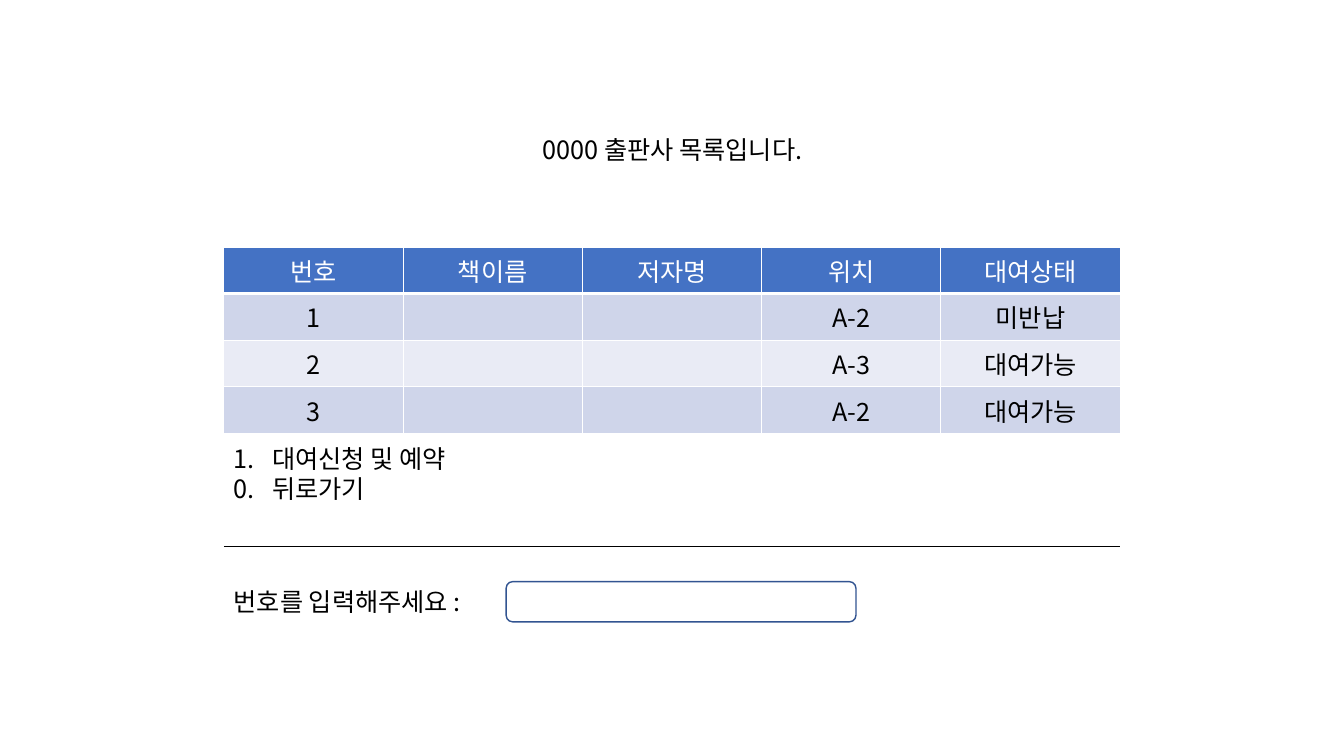
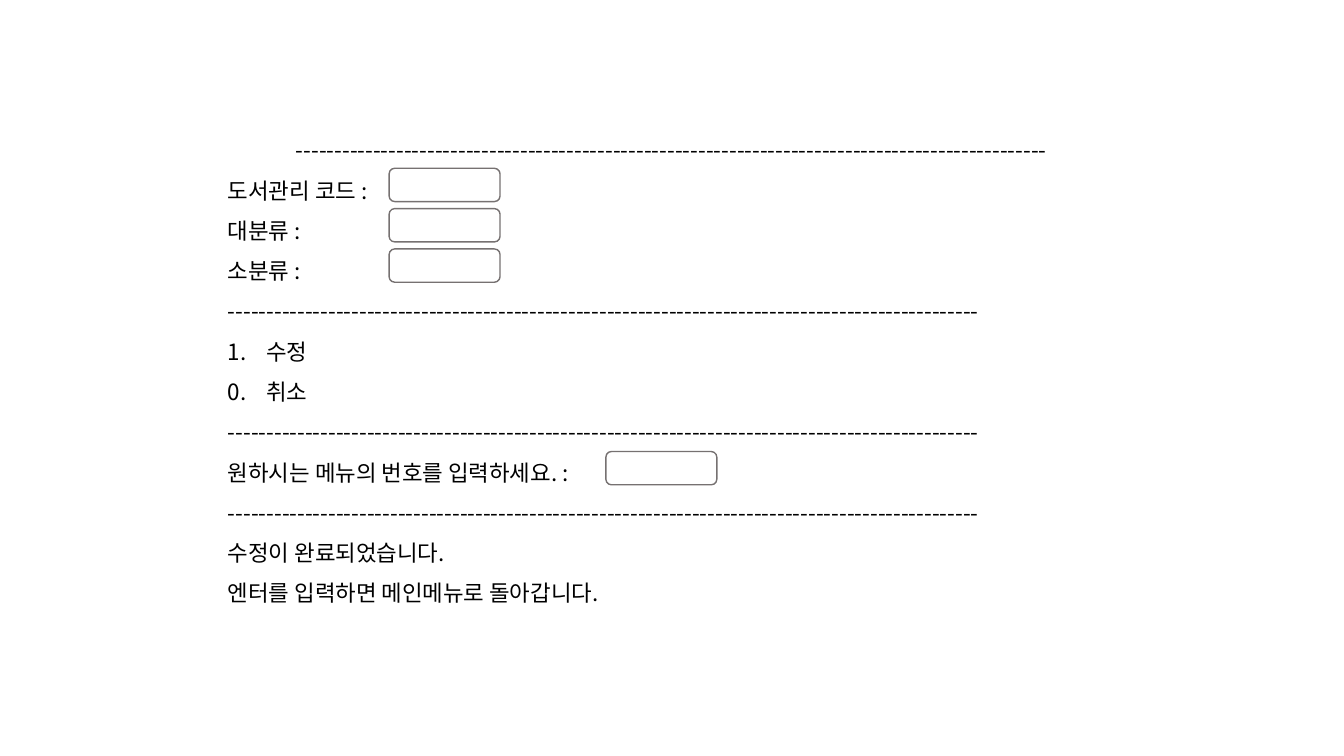
"""Build the book list and edit screens of a library program."""
from dataclasses import dataclass

from lxml import etree
from pptx import Presentation
from pptx import util as u
from pptx.dml.color import RGBColor
from pptx.enum import shapes, text
from pptx.oxml import ns

FONT = "Noto Sans CJK KR"
BLACK, WHITE = "000000", "FFFFFF"
HEADER_FILL, BAND_FILLS = "4472C4", ("CFD5EA", "E9EBF5")
BLUE_LINE, GRAY_LINE = "325491", "767171"
LEFT, CENTER = text.PP_ALIGN.LEFT, text.PP_ALIGN.CENTER
LIST_INDENT = 0.38
DASHES = "-" * 97
FRAME_FORMAT = {
    "word_wrap": True,
    "auto_size": text.MSO_AUTO_SIZE.NONE,
    "vertical_anchor": text.MSO_ANCHOR.TOP,
}


@dataclass(frozen=True)
class Box:
    left: float
    top: float
    width: float
    height: float

    def lengths(self) -> tuple:
        return tuple(u.Inches(n) for n in (self.left, self.top, self.width, self.height))


@dataclass(frozen=True)
class Line:
    words: str
    align: text.PP_ALIGN = LEFT
    indented: bool = False
    numbered: bool = False


@dataclass(frozen=True)
class Field:
    box: Box
    outline: str
    fill: str | None = None


def color(value: str) -> RGBColor:
    return RGBColor.from_string(value)


def apply_format(target, values: dict) -> None:
    for name, value in values.items():
        setattr(target, name, value)


def add_element(parent, tag: str, **attributes: str):
    element = etree.SubElement(parent, ns.qn(tag))
    for name, value in attributes.items():
        element.set(name, value)
    return element


def write_line(paragraph, line: Line, size: int, spacing: float = 1.0, ink: str = BLACK) -> None:
    apply_format(paragraph, {
        "alignment": line.align,
        "line_spacing": spacing,
        "space_before": u.Pt(0),
        "space_after": u.Pt(0),
    })
    properties = paragraph._p.get_or_add_pPr()
    indent = u.Inches(LIST_INDENT) if line.indented else 0
    properties.set("marL", str(indent))
    properties.set("indent", str(-indent))
    if line.numbered:
        add_element(properties, "a:buFont", typeface=FONT)
        add_element(properties, "a:buAutoNum", type="arabicPeriod")
    else:
        add_element(properties, "a:buNone")
    run = paragraph.add_run()
    run.text = line.words
    apply_format(run.font, {"name": FONT, "size": u.Pt(size), "bold": False})
    run.font.color.rgb = color(ink)
    add_element(run._r.get_or_add_rPr(), "a:ea", typeface=FONT)


def write_text(shape, box: Box, lines: list[Line], size: int, spacing: float = 1.0) -> None:
    apply_format(shape, dict(zip(("left", "top", "width", "height"), box.lengths())))
    frame = shape.text_frame
    apply_format(frame, FRAME_FORMAT)
    for index, line in enumerate(lines):
        paragraph = frame.add_paragraph() if index else frame.paragraphs[0]
        write_line(paragraph, line, size, spacing)


def draw_field(slide, field: Field) -> None:
    shape = slide.shapes.add_shape(shapes.MSO_SHAPE.ROUNDED_RECTANGLE, *field.box.lengths())
    shape.shadow.inherit = False
    if field.fill:
        shape.fill.solid()
        shape.fill.fore_color.rgb = color(field.fill)
    else:
        shape.fill.background()
    shape.line.color.rgb = color(field.outline)
    shape.line.width = u.Pt(1)


def draw_rule(slide, left: float, right: float, top: float) -> None:
    rule = slide.shapes.add_connector(
        shapes.MSO_CONNECTOR.STRAIGHT,
        u.Inches(left), u.Inches(top), u.Inches(right), u.Inches(top),
    )
    rule.line.color.rgb = color(BLACK)
    rule.line.width = u.Pt(0.5)
    add_element(rule._element.spPr, "a:effectLst")


def format_cell(cell, fill: str, bottom: float) -> None:
    properties = cell._tc.get_or_add_tcPr()
    for side, width in {"L": 1, "R": 1, "T": 1, "B": bottom}.items():
        border = add_element(properties, f"a:ln{side}", w=str(u.Pt(width)))
        add_element(add_element(border, "a:solidFill"), "a:srgbClr", val=WHITE)
    cell.fill.solid()
    cell.fill.fore_color.rgb = color(fill)


def draw_table(slide, box: Box, rows: list[tuple]) -> None:
    frame = slide.shapes.add_table(len(rows), len(rows[0]), *box.lengths())
    for row_index, row in enumerate(rows):
        is_header = row_index == 0
        fill = HEADER_FILL if is_header else BAND_FILLS[(row_index - 1) % 2]
        for column_index, words in enumerate(row):
            cell = frame.table.cell(row_index, column_index)
            format_cell(cell, fill, 3 if is_header else 1)
            if words:
                ink = WHITE if is_header else BLACK
                write_line(cell.text_frame.paragraphs[0], Line(words, CENTER), 18, ink=ink)


def build_book_list(presentation) -> None:
    slide = presentation.slides.add_slide(presentation.slide_layouts[1])
    title, body = slide.placeholders
    write_text(title, Box(5.05, 1.28, 3.24, 0.4), [Line("0000 출판사 목록입니다.", CENTER)], 18)
    write_text(body, Box(2.22, 4.35, 3.67, 1.01), [
        Line("대여신청 및 예약", indented=True, numbered=True),
        Line("0.\t뒤로가기", indented=True),
    ], 18)
    draw_table(slide, Box(2.22, 2.45, 8.89, 1.62), [
        ("번호", "책이름", "저자명", "위치", "대여상태"),
        ("1", "", "", "A-2", "미반납"),
        ("2", "", "", "A-3", "대여가능"),
        ("3", "", "", "A-2", "대여가능"),
    ])
    draw_rule(slide, 2.22, 11.11, 5.42)
    prompt_box = Box(2.22, 5.77, 2.8, 0.4)
    prompt = slide.shapes.add_textbox(*prompt_box.lengths())
    write_text(prompt, prompt_box, [Line("번호를 입력해주세요 :")], 18)
    draw_field(slide, Field(Box(5.02, 5.77, 3.47, 0.4), BLUE_LINE, WHITE))


def build_edit_screen(presentation) -> None:
    slide = presentation.slides.add_slide(presentation.slide_layouts[1])
    title, body = slide.placeholders
    title._element.getparent().remove(title._element)
    write_text(body, Box(2.16, 1.17, 9.01, 4.9), [
        Line(DASHES, CENTER),
        Line("도서관리 코드 :"),
        Line("대분류 :"),
        Line("소분류 :"),
        Line(DASHES),
        Line("수정", indented=True, numbered=True),
        Line("0.\t취소", indented=True),
        Line(DASHES),
        Line("원하시는 메뉴의 번호를 입력하세요. :"),
        Line(DASHES),
        Line("수정이 완료되었습니다."),
        Line("엔터를 입력하면 메인메뉴로 돌아갑니다."),
    ], 16, 1.5)
    code_fields = [(3.86, 1.67 + 0.4 * row) for row in range(3)]
    for left, top in [*code_fields, (6.01, 4.48)]:
        draw_field(slide, Field(Box(left, top, 1.1, 0.33), GRAY_LINE))


def main() -> None:
    presentation = Presentation()
    presentation.slide_width = u.Inches(13.33)
    presentation.slide_height = u.Inches(7.5)
    build_book_list(presentation)
    build_edit_screen(presentation)
    presentation.save("out.pptx")


main()
